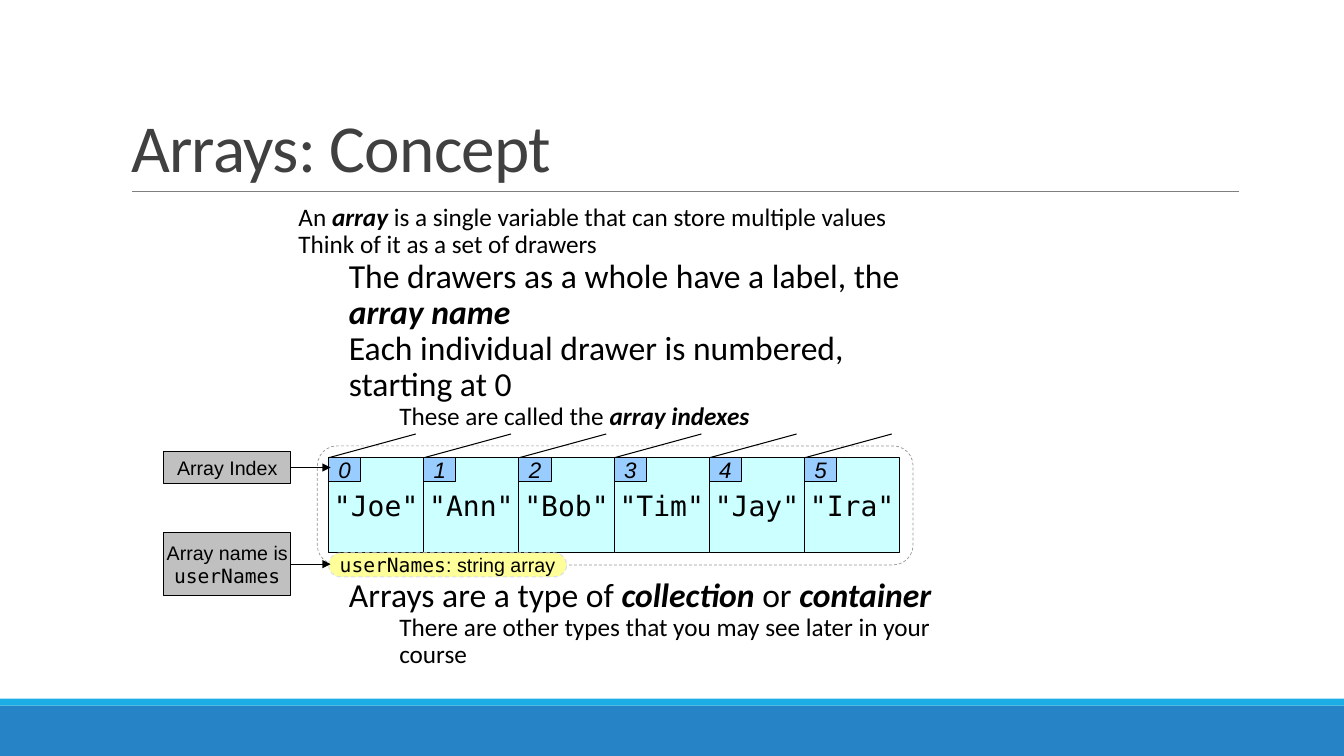
from pptx import Presentation
from pptx.dml.color import RGBColor
from pptx.enum.dml import MSO_LINE_DASH_STYLE as Dash
from pptx.enum.shapes import MSO_CONNECTOR as Conn, MSO_SHAPE as Geo
from pptx.enum.text import MSO_ANCHOR as Anchor, MSO_AUTO_SIZE as Auto, PP_ALIGN as Align
from pptx.oxml.ns import qn
from pptx.util import Pt
from lxml.etree import SubElement

SANS, MONO, BODY = "Arial", "DejaVu Sans Mono", "Calibri"
STRONG = {"bold": True, "italic": True}


# Shared helpers
def tint(target, code):
    target.rgb = RGBColor.from_string(code)


def apply(target, **vals):
    for name, val in vals.items():
        setattr(target, name, val)


def write(par, runs, size, face, color="000000"):
    """Each run is (text, font values that differ)."""
    for text, vals in runs:
        run = par.add_run()
        run.text = text
        apply(run.font, **{"size": Pt(size), "name": face, "bold": False,
                           "italic": False, **vals})
        tint(run.font.color, color)


def stroke(line, color, width=0.75, dash=None):
    tint(line.color, color)
    line.width = Pt(width)
    if dash:
        line.dash_style = dash


def block(shapes, box, fill, edge=None, geo=Geo.RECTANGLE, lines=(),
          size=14, face=SANS, **pen):
    item = shapes.add_shape(geo, *map(Pt, box))
    item.shadow.inherit = False
    if fill:
        item.fill.solid()
        tint(item.fill.fore_color, fill)
    else:
        item.fill.background()
    if edge:
        stroke(item.line, edge, **pen)
    else:
        item.line.fill.background()
    frame = item.text_frame
    apply(frame, word_wrap=False, vertical_anchor=Anchor.MIDDLE, margin_left=0,
          margin_right=0, margin_top=0, margin_bottom=0)
    for i, runs in enumerate(lines):
        par = frame.add_paragraph() if i else frame.paragraphs[0]
        par.alignment = Align.CENTER
        write(par, runs, size, face)
    return item


def rule(shapes, start, end, color="000000", width=0.75, arrow=False):
    link = shapes.add_connector(Conn.STRAIGHT, *map(Pt, (*start, *end)))
    stroke(link.line, color, width)
    if arrow:
        SubElement(link.line._get_or_add_ln(), qn("a:tailEnd"), type="triangle")
    SubElement(link._element.spPr, qn("a:effectLst"))


def place(holder, box):
    apply(holder, **dict(zip(("left", "top", "width", "height"), map(Pt, box))))
    holder.text_frame.auto_size = Auto.NONE
    return holder.text_frame


# Bars at the foot and the line under the title
def frame_page(slide, wide, high):
    block(slide.shapes, (0, high - 36, wide, 36), "2683C6")
    block(slide.shapes, (0, high - 41, wide, 5), "1CADE4")
    rule(slide.shapes, (94.3, 136.8), (885.3, 136.8), "808080", 0.5)


def add_title(slide, box, text):
    frame = place(slide.shapes.title, box)
    frame.vertical_anchor = Anchor.BOTTOM
    par = frame.paragraphs[0]
    apply(par, alignment=Align.LEFT, line_spacing=0.85)
    write(par, [(text, {})], 48, BODY, "404040")
    par.runs[0].font._element.set("spc", "-50")


# Outline: (level, size, space before, runs)
def add_list(slide, box, items):
    frame = place(slide.placeholders[1], box)
    frame.vertical_anchor = Anchor.TOP
    for i, (level, size, gap, runs) in enumerate(items):
        par = frame.add_paragraph() if i else frame.paragraphs[0]
        apply(par, level=level, line_spacing=0.9, space_before=Pt(gap),
              space_after=Pt(0), alignment=Align.LEFT)
        props = par._p.get_or_add_pPr()
        props.set("marL", str(Pt(36 * level)))
        props.set("indent", "0")
        SubElement(props, qn("a:buNone"))
        write(par, runs, size, BODY)


# Row of numbered drawers with the array's label below
def add_drawers(slide, box, names):
    left, top, side = box
    block(slide.shapes, (left - 8, top - 8.5, side * len(names) + 17.5, side + 17),
          None, "969696", Geo.ROUNDED_RECTANGLE, width=0.5, dash=Dash.DASH)
    for i, name in enumerate(names):
        x = left + i * side
        group = slide.shapes.add_group_shape().shapes
        block(group, (x, top, side, side), "CCFFFF", "000000",
              lines=[[(f'"{name}"', {})]], size=20, face=MONO)
        rule(group, (x, top), (x + 62.3, top - 17))
        block(group, (x, top, 23, 17), "99CCFF", "000000",
              lines=[[(str(i), {"italic": True})]], size=16)
    label = block(slide.shapes, (left, top + side, 170, 17), "FFFF99", "D9E0E6",
                  Geo.ROUNDED_RECTANGLE, dash=Dash.DASH,
                  lines=[[("userNames", {"name": MONO}), (": string array", {})]])
    label.adjustments[0] = 0.5


# Grey note with an arrow to its right
def add_note(slide, box, lines):
    left, top, wide, high = box
    group = slide.shapes.add_group_shape().shapes
    block(group, box, "C0C0C0", "000000", lines=lines)
    mid = top + high / 2
    rule(group, (left + wide, mid), (left + wide + 28.5, mid), arrow=True)


deck = Presentation()
apply(deck, slide_width=Pt(960), slide_height=Pt(540))
slide = deck.slides.add_slide(deck.slide_layouts[1])

frame_page(slide, 960, 540)
add_title(slide, (86.4, 22.3, 792, 114.5), "Arrays: Concept")
add_list(slide, (206, 142.5, 480, 361), [
    (0, 18, 0, [("An ", {}), ("array", STRONG),
                (" is a single variable that can store multiple values", {})]),
    (0, 18, 0, [("Think of it as a set of drawers", {})]),
    (1, 24, 0, [("The drawers as a whole have a label, the ", {}),
                ("array name", STRONG)]),
    (1, 24, 0, [("Each individual drawer is numbered, starting at 0", {})]),
    (2, 18, 0, [("These are called the ", {}), ("array indexes", STRONG)]),
    (1, 24, 105, [("Arrays are a type of ", {}), ("collection", STRONG),
                  (" or ", {}), ("container", STRONG)]),
    (2, 18, 0, [("There are other types that you may see later in your course", {})]),
])
add_drawers(slide, (234.7, 327, 68), ["Joe", "Ann", "Bob", "Tim", "Jay", "Ira"])
add_note(slide, (117, 380.3, 90.7, 45.3),
         [[("Array name is", {})], [("userNames", {"name": MONO})]])
add_note(slide, (117, 322.6, 90.7, 22.7), [[("Array Index", {})]])

deck.save("out.pptx")
